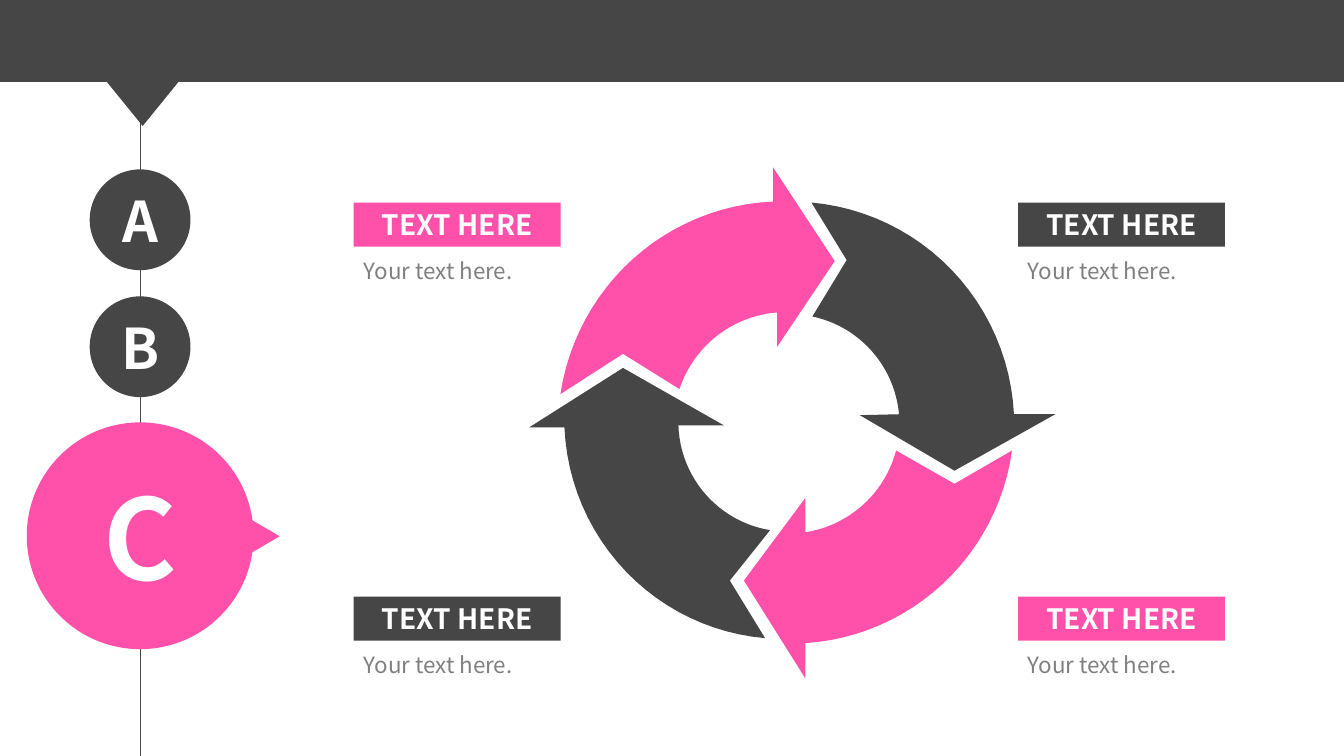
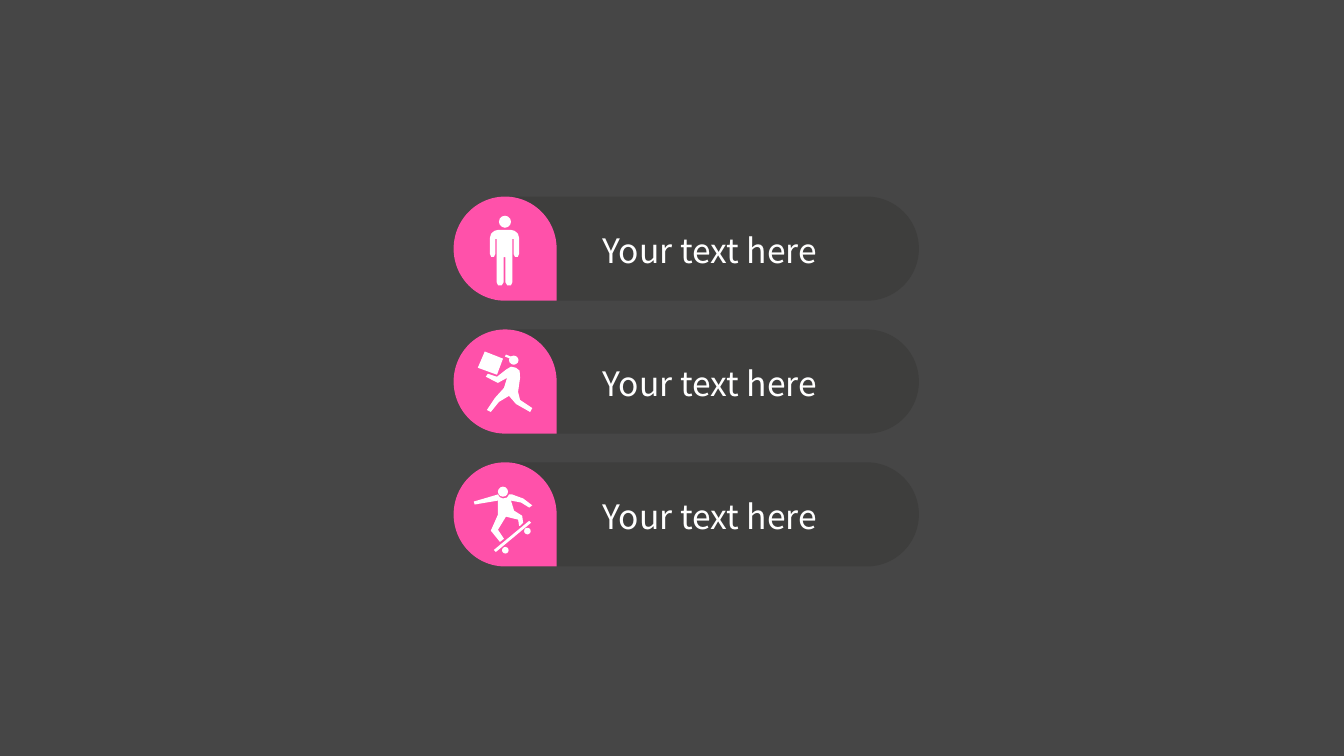
"""Build a cycle diagram slide and an icon list slide."""
import math
import pptx
import pptx.dml.color
import pptx.enum.shapes
import pptx.enum.text
import pptx.util
from pptx.oxml.ns import qn

Pt = pptx.util.Pt
KIND = pptx.enum.shapes.MSO_SHAPE
ALIGN = pptx.enum.text.PP_ALIGN
FONT = "Noto Sans CJK SC"
HUES = {"dark": "464646", "pink": "FF51AA", "pill": "3E3E3D", "white": "FFFFFF", "gray": "808080"}

SPINE = 100.1
STEPS = [("C", 382.7, 162, 80, "pink"), ("A", 157, 72, 40, "dark"), ("B", 247.7, 72, 40, "dark")]

LABELS = [
    (252.7, 144.7, "pink"), (727.2, 144.7, "dark"),
    (727.2, 426.2, "pink"), (252.7, 426.2, "dark"),
]
HEAD, BODY = "TEXT HERE", "Your text here."

HUB = (563, 301.7)
ARROWS = [
    {"hue": "pink", "outer": [(400.3, 281.5), (552.2, 144)],
     "point": [(552.2, 119.5), (596.2, 186.5), (555.1, 247.7)],
     "inner": [(555.1, 223.2), (485.3, 277.9)], "notch": (445, 252.7)},
    {"hue": "pink", "outer": [(722.9, 321.8), (575.3, 459.4)],
     "point": [(575.3, 484.6), (531.4, 414.7), (575.3, 355.7)],
     "inner": [(575.3, 380.2), (640.1, 321.8)], "notch": (681.8, 345.6)},
    {"hue": "dark", "outer": [(546.5, 455.8), (403.2, 305.3)],
     "point": [(378, 305.3), (445, 262.8), (517, 303.8)],
     "inner": [(484.6, 303.8), (550.1, 378.7)], "notch": (521.3, 414.7)},
    {"hue": "dark", "outer": [(579.6, 144.7), (724.3, 295.9)],
     "point": [(753.8, 295.9), (681.8, 336.2), (614.2, 296.6)],
     "inner": [(642.2, 295.9), (580.3, 226.1)], "notch": (604.8, 185.8)},
]

LEFT, TOP, PITCH = 324, 140.4, 94.9
ITEM = "Your text here"
MID = 36.4
HALF = [
    (4.6, 23.8), (7.2, 24.5), (9.6, 26.5), (10.4, 29.5), (10.4, 41), (9.5, 43), (7.5, 43), (6.5, 41),
    (6.5, 30.2), (5.6, 30.2), (5.6, 61.2), (4.6, 63.4), (2, 63.4), (0.6, 61.2), (0.6, 43.2),
]
MAN = [(MID + x, y) for x, y in HALF] + [(MID - x, y) for x, y in reversed(HALF)]
RUNNER = [
    (47.5, 50.4), (46.1, 44.6), (47.5, 34.6), (47.2, 29.5), (44.6, 27.4), (41, 26.6), (37.4, 28.8),
    (31, 33.8), (24.5, 31.7), (23, 33.8), (31.7, 38.2), (38.2, 34.6), (36, 41.8), (29.5, 49),
    (23.8, 57.6), (26.6, 59), (32.4, 51.8), (39.6, 47.5), (44.6, 53.3), (54.7, 59), (56.2, 56.2),
]
BOX = [(22.3, 15.8), (17.3, 27.4), (31, 32.4), (35.3, 20.9)]
VISOR = [(41, 19.4), (37.4, 18), (36.7, 19.4), (40.3, 20.9)]
SKATER = [
    (31.7, 48.2), (37.4, 38.9), (46.1, 41), (46.8, 45.4), (47.5, 45.4), (49.7, 43.2), (49, 38.2),
    (43.2, 34.6), (41, 27.4), (48.2, 28.8), (54, 32.4), (56.2, 30.8), (49.7, 25.9), (41.8, 23),
    (39.6, 23), (38.2, 25.2), (35.3, 25.9), (33, 25), (31.7, 23), (14.4, 28.1), (15.1, 30.2),
    (31.7, 27.4), (31.7, 37.4), (26.6, 48.9), (33.1, 56.9), (36, 54.7),
]
BOARD = [(28.8, 62.6), (30.2, 64.1), (55.4, 43.2), (54, 41.8)]
ICONS = [
    {"dots": [(32.4, 13.7, 8.6, 8.6)], "forms": [MAN]},
    {"dots": [(39.6, 18.7, 6.8, 6.5)], "forms": [RUNNER, BOX, VISOR]},
    {"dots": [(31.7, 17.4, 7.2, 7.2), (34.6, 60.5, 4.7, 4.7), (50.4, 46.8, 4.7, 4.7)],
     "forms": [BOARD, SKATER]},
]


def tint(hue):
    return pptx.dml.color.RGBColor.from_string(HUES[hue])


def paint(shape, hue):
    shape.shadow.inherit = False
    shape.fill.solid()
    shape.fill.fore_color.rgb = tint(hue)
    shape.line.fill.background()
    return shape


def shape(slide, kind, box, hue, turn=0):
    part = paint(slide.shapes.add_shape(kind, *map(Pt, box)), hue)
    part.rotation = turn
    return part


def form(slide, spots, hue):
    spots = [(Pt(x), Pt(y)) for x, y in spots]
    pen = slide.shapes.build_freeform(*spots[0])
    pen.add_line_segments(spots[1:], close=True)
    return paint(pen.convert_to_shape(), hue)


def write(part, text, size, hue="white", bold=False, align=ALIGN.LEFT):
    frame = part.text_frame
    frame.word_wrap = True
    frame.vertical_anchor = pptx.enum.text.MSO_ANCHOR.MIDDLE
    para = frame.paragraphs[0]
    para.alignment = align
    run = para.add_run()
    run.text = text
    for key, value in {"name": FONT, "size": Pt(size), "bold": bold}.items():
        setattr(run.font, key, value)
    run.font.color.rgb = tint(hue)


def note(slide, box, text, size, hue):
    write(slide.shapes.add_textbox(*map(Pt, box)), text, size, hue)


def arc(ends, count=24):
    """Sweep about the hub from one end to the other."""
    (near, start), (far, stop) = [
        (math.dist(HUB, (x, y)), math.atan2(y - HUB[1], x - HUB[0])) for x, y in ends
    ]
    turn = math.remainder(stop - start, math.tau)
    spots = []
    for i in range(count + 1):
        part = i / count
        size, angle = near + (far - near) * part, start + turn * part
        spots.append((HUB[0] + size * math.cos(angle), HUB[1] + size * math.sin(angle)))
    return spots


def cycle(slide):
    shape(slide, KIND.ISOSCELES_TRIANGLE, (118.8, 345.6, 87.1, 74.9), "pink", 90)
    line = slide.shapes.add_connector(
        pptx.enum.shapes.MSO_CONNECTOR.STRAIGHT, Pt(SPINE), Pt(0), Pt(SPINE), Pt(540))
    line.line.color.rgb = tint("dark")
    line.line.width = Pt(0.5)
    props = line._element.spPr
    props.append(props.makeelement(qn("a:effectLst"), {}))
    for text, mid, size, font, hue in STEPS:
        disc = shape(slide, KIND.OVAL, (SPINE - size / 2, mid - size / 2, size, size), hue)
        write(disc, text, font, bold=True, align=ALIGN.CENTER)
    shape(slide, KIND.ISOSCELES_TRIANGLE, (53.3, 30.2, 97.2, 59.8), "dark", 180)
    shape(slide, KIND.RECTANGLE, (0, 0, 960, 58.5), "dark")
    for arrow in ARROWS:
        spots = arc(arrow["outer"]) + arrow["point"] + arc(arrow["inner"]) + [arrow["notch"]]
        form(slide, spots, arrow["hue"])
    for left, top, hue in LABELS:
        tag = shape(slide, KIND.RECTANGLE, (left, top, 147.8, 31.5), hue)
        write(tag, HEAD, 20, bold=True, align=ALIGN.CENTER)
        note(slide, (left, top + 35.3, 138.2, 26.6), BODY, 16, "gray")


def menu(slide):
    slide.background.fill.solid()
    slide.background.fill.fore_color.rgb = tint("dark")
    for row, icon in enumerate(ICONS):
        top = TOP + row * PITCH
        pill = shape(slide, KIND.ROUNDED_RECTANGLE, (LEFT, top, 332.4, 74.4), "pill")
        pill.adjustments[0] = 0.5
        shape(slide, KIND.TEAR, (LEFT - 0.4, top + 0.4, 74.4, 73.6), "pink", 90)
        note(slide, (423.4, top + 20.2, 234.7, 36), ITEM, 24, "white")
        for x, y, wide, high in icon["dots"]:
            shape(slide, KIND.OVAL, (LEFT + x, top + y, wide, high), "white")
        for spots in icon["forms"]:
            form(slide, [(LEFT + x, top + y) for x, y in spots], "white")


def main():
    deck = pptx.Presentation()
    deck.slide_width, deck.slide_height = Pt(960), Pt(540)
    for draw in (cycle, menu):
        draw(deck.slides.add_slide(deck.slide_layouts[6]))
    deck.save("out.pptx")


if __name__ == "__main__":
    main()
